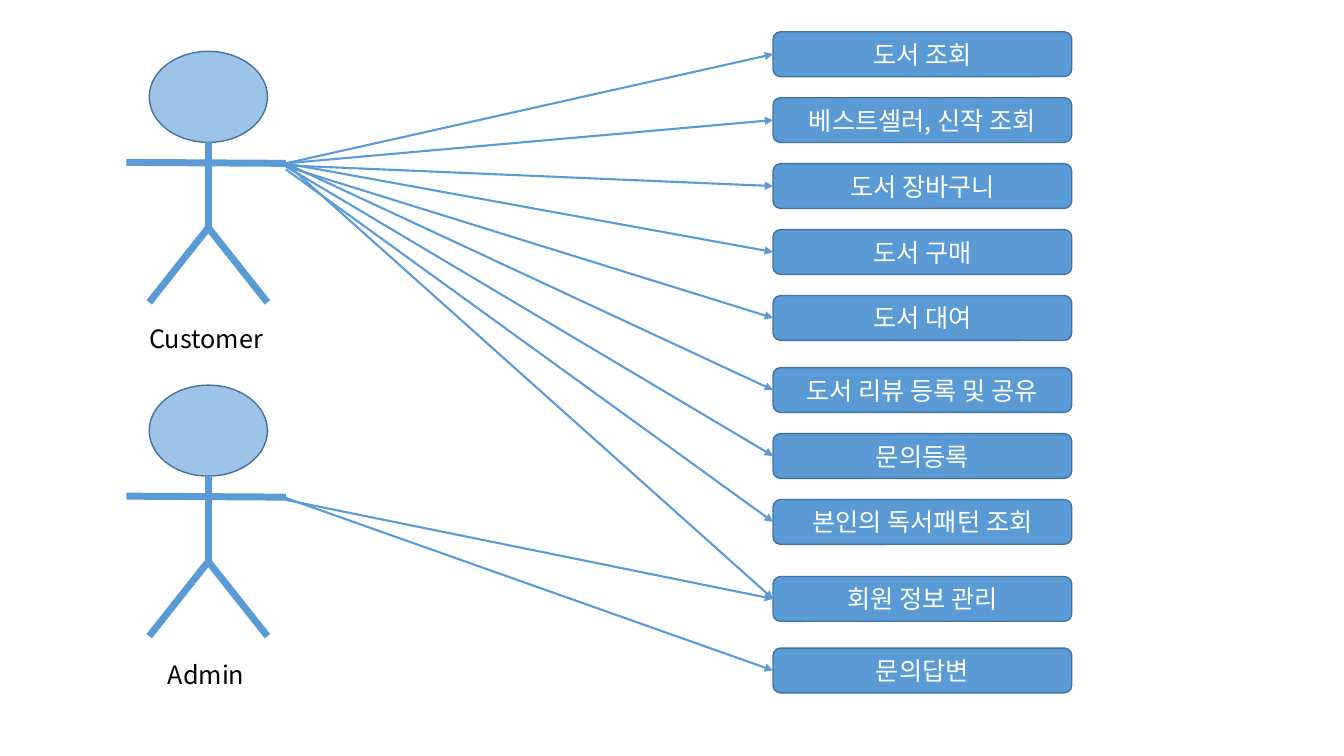
from lxml import etree
from pptx import Presentation
from pptx.dml.color import RGBColor as RGB
from pptx.enum.shapes import MSO_CONNECTOR as LINK, MSO_SHAPE as SHAPE
from pptx.enum.text import MSO_ANCHOR as ANCHOR, PP_ALIGN as ALIGN
from pptx.oxml.ns import qn
from pptx.util import Pt

FONT = "Noto Sans CJK KR"
COLORS = {
    "blue": "5B9BD5",
    "edge": "43739E",
    "head": "9DC3E6",
    "white": "FFFFFF",
    "black": "000000",
}


def add_box(shapes, kind, place, fill, edge, text="", ink="black"):
    """Add a filled, outlined shape with optional centred text."""
    box = shapes.add_shape(kind, *map(Pt, place))
    box.shadow.inherit = False
    box.fill.solid()
    box.fill.fore_color.rgb = RGB.from_string(COLORS[fill])
    box.line.color.rgb = RGB.from_string(COLORS[edge])
    box.line.width = Pt(1)
    if text:
        frame = box.text_frame
        frame.word_wrap = True
        frame.vertical_anchor = ANCHOR.MIDDLE
        frame.text = text
        para = frame.paragraphs[0]
        para.alignment = ALIGN.CENTER
        font = para.runs[0].font
        font.size, font.name = Pt(18), FONT
        font.color.rgb = RGB.from_string(COLORS[ink])
        etree.SubElement(font._element, qn("a:ea"), typeface=FONT)


def add_line(shapes, ends, width, arrow=False):
    """Add a blue straight line, with an arrowhead at its end if asked."""
    line = shapes.add_connector(LINK.STRAIGHT, *map(Pt, ends))
    line.line.color.rgb = RGB.from_string(COLORS["blue"])
    line.line.width = Pt(width)
    if arrow:
        etree.SubElement(line.line._get_or_add_ln(), qn("a:tailEnd"), type="triangle")
    etree.SubElement(line._element.spPr, qn("a:effectLst"))


deck = Presentation()
deck.slide_width, deck.slide_height = Pt(960), Pt(540)
slide = deck.slides.add_slide(deck.slide_layouts[6])
shapes = slide.shapes

# Actors: stick figure and name
MID, HAND = 148.8, 204.2
actors = [("Customer", 36.7, 227.5), ("Admin", 275.1, 467.4)]
for name, top, label in actors:
    body = shapes.add_group_shape().shapes
    add_box(body, SHAPE.OVAL, (MID - 42.2, top, 84.4, 65), "head", "edge")
    neck, hip, foot, arm = top + 65, top + 126, top + 179.3, top + 80
    limbs = [
        (MID, neck, MID, hip),
        (MID, hip, MID + 42.2, foot),
        (MID, hip, MID - 42.2, foot),
        (HAND, arm, 90.2, arm - 0.7),
    ]
    for limb in limbs:
        add_line(body, limb, 5)
    add_box(shapes, SHAPE.RECTANGLE, (90.2, label, 114, 28), "white", "white", name)

# Use cases: blocks of evenly spaced boxes
LEFT, WIDE, HIGH, STEP = 552.2, 213.4, 32, 47.1
blocks = [
    (22.7, ["도서 조회", "베스트셀러, 신작 조회", "도서 장바구니", "도서 구매", "도서 대여"]),
    (262.6, ["도서 리뷰 등록 및 공유", "문의등록", "본인의 독서패턴 조회"]),
    (411.8, ["회원 정보 관리"]),
    (462.9, ["문의답변"]),
]
mids = []
for start, cases in blocks:
    for row, case in enumerate(cases):
        top = start + row * STEP
        place = (LEFT, top, WIDE, HIGH)
        add_box(shapes, SHAPE.ROUNDED_RECTANGLE, place, "blue", "edge", case, "white")
        mids.append(top + HIGH / 2)

# Arrows from each hand: (use case, drop below the hand)
links = [
    (116.7, [(0, 0), (1, 0), (2, 1.4), (3, 0), (4, 2.2), (5, 0), (6, 2.2), (7, 4.3), (8, 0)]),
    (355.7, [(9, 0), (8, 1.4)]),
]
for hand, goals in links:
    for case, drop in goals:
        add_line(shapes, (HAND, hand + drop, LEFT, mids[case]), 1.5, arrow=True)

deck.save("out.pptx")
